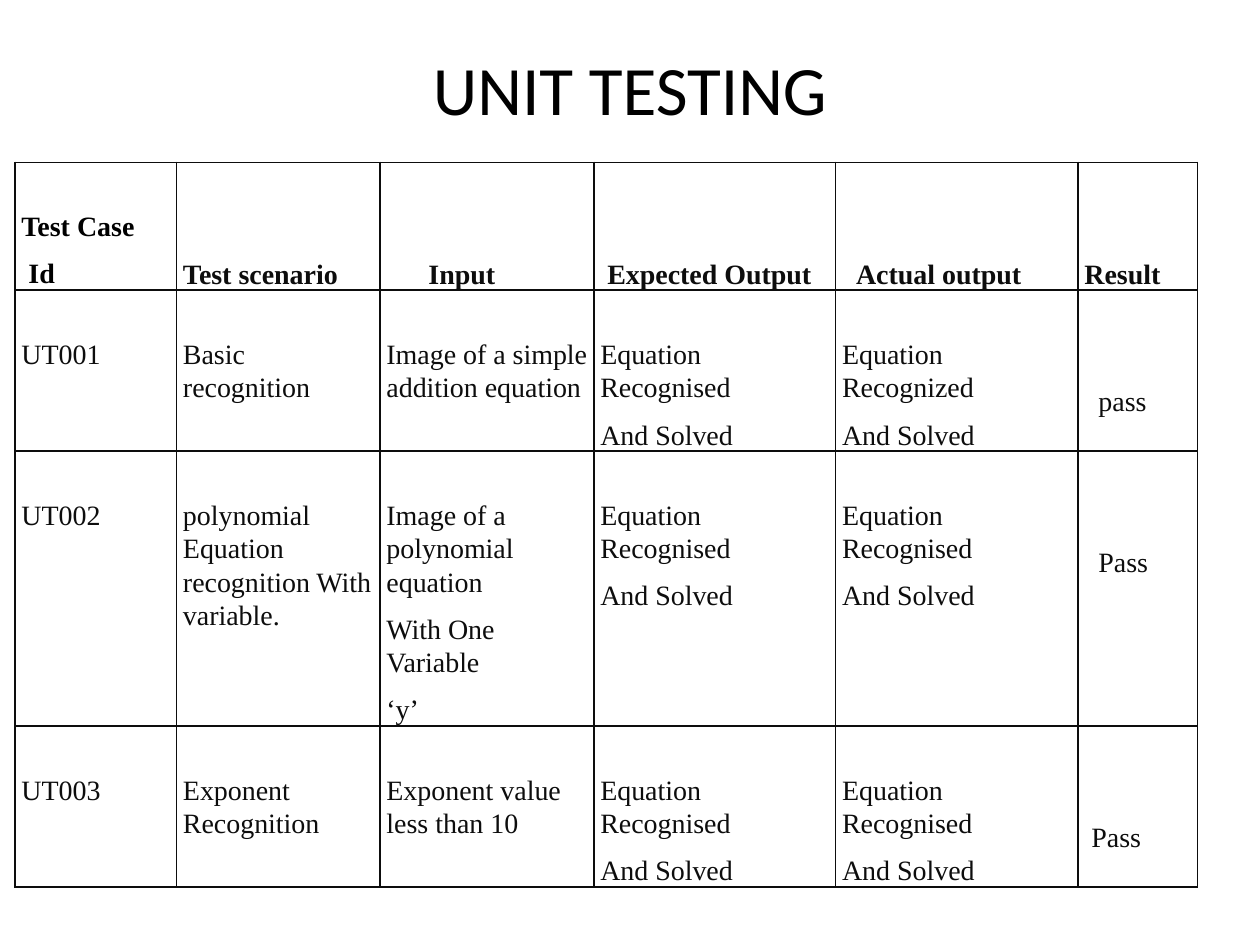
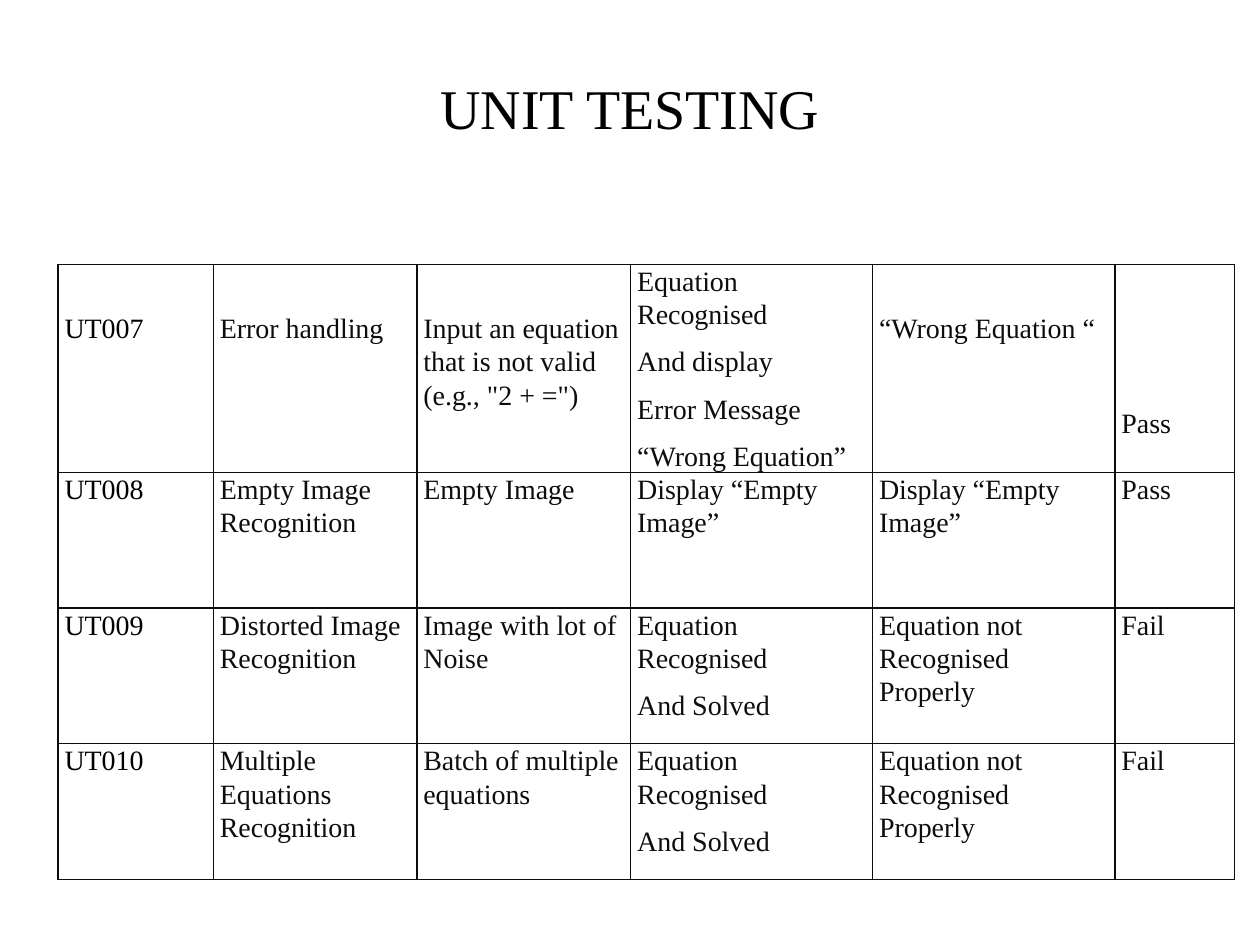
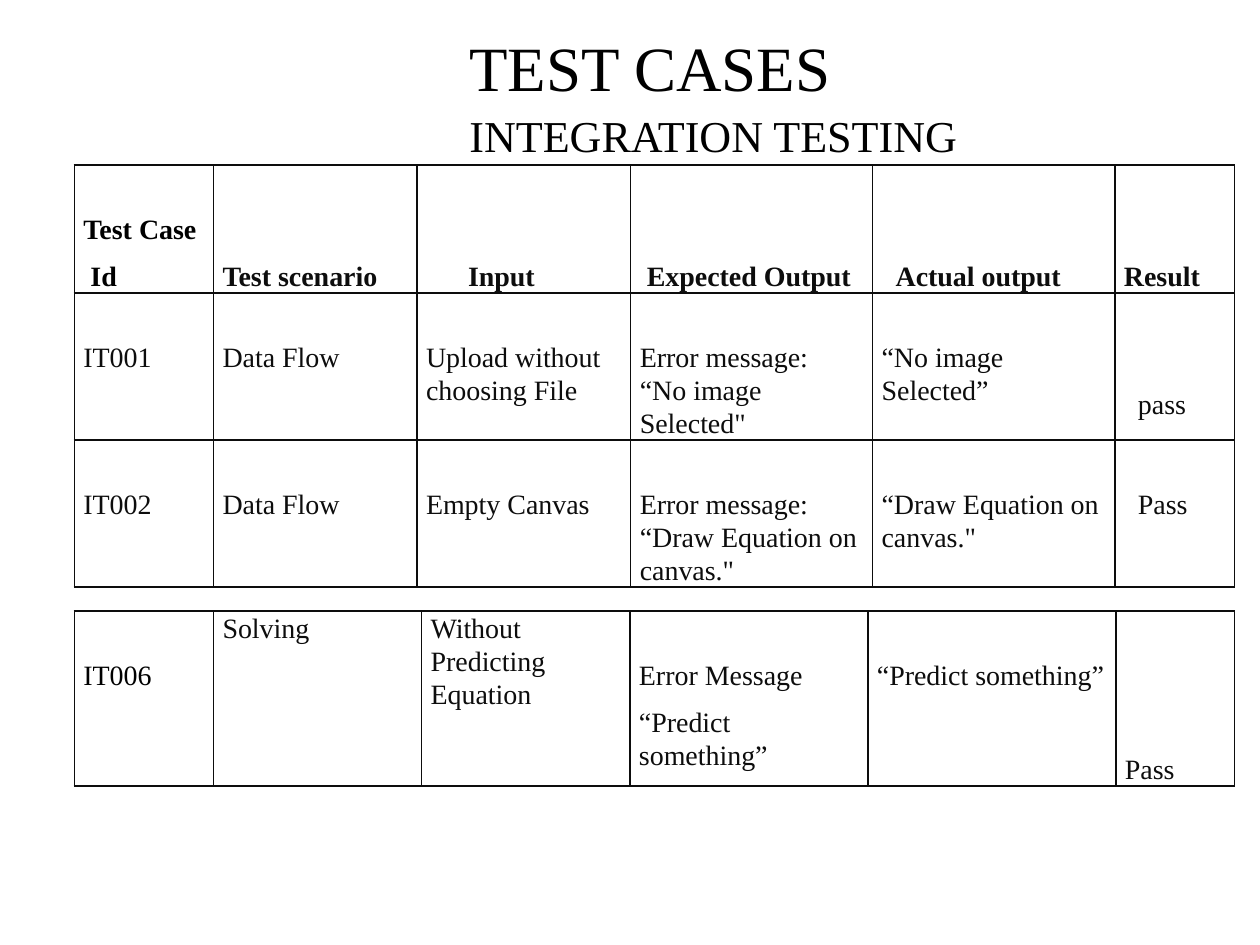
from collections import namedtuple

from pptx import Presentation
from pptx.dml.color import RGBColor
from pptx.enum.text import MSO_ANCHOR as Anchor, MSO_AUTO_SIZE as AutoSize, PP_ALIGN as Align
from pptx.oxml.ns import qn
from pptx.util import Pt
from lxml import etree

COLORS = {"title": "000000", "id": "000000", "body": "0D0D0D", "border": "0D0D0D"}
SERIF = "Times New Roman"
LINE_PITCH = 27  # one 16 pt line with the gap after it
SPACE_WIDTH = 4
TITLE_ONLY = 5

SHARED_COLUMNS = (116.3, 122.2, 138.2, 138.5, 68.4)
SOLVED = "Equation Recognised\nAnd Solved"
NOT_PROPERLY = "Equation not Recognised Properly"

Entry = namedtuple("Entry", "text skip indent bold color")


def entry(text, skip=1, indent=0, bold=False, color="body"):
    """Cell text that starts skip lines down; its last paragraph is indented by spaces."""
    return Entry(text, skip, indent, bold, color)


def top(text, **options):
    return entry(text, skip=0, **options)


HEADER = [
    entry("Test Case\nId", indent=1, bold=True, color="id"),
    entry("Test scenario", skip=2, bold=True),
    entry("Input", skip=2, indent=6, bold=True),
    entry("Expected Output", skip=2, indent=1, bold=True),
    entry("Actual output", skip=2, indent=2, bold=True),
    entry("Result", skip=2, bold=True),
]

UNIT_BASIC = [
    HEADER,
    [entry("UT001"), entry("Basic recognition"),
     entry("Image of a simple addition equation"), entry(SOLVED),
     entry("Equation Recognized\nAnd Solved"), entry("pass", skip=2, indent=2)],
    [entry("UT002"), entry("polynomial Equation recognition With variable."),
     entry("Image of a polynomial equation\nWith One Variable\n‘y’"),
     entry(SOLVED), entry(SOLVED), entry("Pass", skip=2, indent=2)],
    [entry("UT003"), entry("Exponent Recognition"),
     entry("Exponent value less than 10"),
     entry(SOLVED), entry(SOLVED), entry("Pass", skip=2, indent=1)],
]

UNIT_ERRORS = [
    [entry("UT007", color="id"), entry("Error handling"),
     entry('Input an equation that is not valid (e.g., "2 + =")'),
     top("Equation Recognised\nAnd display\nError Message\n“Wrong Equation”"),
     entry("“Wrong Equation “"), entry("Pass", skip=3)],
    [top("UT008", color="id"), top("Empty Image Recognition"), top("Empty Image"),
     top("Display “Empty Image”"), top("Display “Empty Image”"), top("Pass")],
    [top("UT009", color="id"), top("Distorted Image Recognition"),
     top("Image with lot of Noise"), top(SOLVED), top(NOT_PROPERLY), top("Fail")],
    [top("UT010", color="id"), top("Multiple Equations Recognition"),
     top("Batch of multiple equations"), top(SOLVED), top(NOT_PROPERLY), top("Fail")],
]

INTEGRATION_FLOW = [
    HEADER,
    [entry("IT001"), entry("Data Flow"), entry("Upload without choosing File"),
     entry('Error message:\v“No image Selected"'), entry("“No image Selected”"),
     entry("pass", skip=2, indent=2)],
    [entry("IT002"), entry("Data Flow"), entry("Empty Canvas"),
     entry('Error message:\v“Draw Equation on canvas."'),
     entry('“Draw Equation on canvas."'), entry("Pass", indent=2)],
]

INTEGRATION_SOLVING = [
    [entry("IT006", color="id"), top("Solving"), top("Without Predicting Equation"),
     entry("Error Message\n“Predict something”"), entry("“Predict something”"),
     entry("Pass", skip=3)],
]


def write(para, text, size=16, font=SERIF, color="body", bold=False, align=Align.LEFT,
          indent=0, line=None, before=0, after=0):
    para.text = text
    para.alignment = align
    para.line_spacing = line
    para.space_before, para.space_after = Pt(before), Pt(after)
    if indent:
        para._p.get_or_add_pPr().set("marL", str(Pt(indent)))
    for span in para.runs:
        span.font.size, span.font.name, span.font.bold = Pt(size), font, bold
        span.font.color.rgb = RGBColor.from_string(COLORS[color])


def add_page(deck, y, height):
    """Add a slide, place its title and return both slide and title frame."""
    page = deck.slides.add_slide(deck.slide_layouts[TITLE_ONLY])
    title = page.shapes.title
    title.left, title.top, title.width, title.height = Pt(36), Pt(y), Pt(648), Pt(height)
    frame = title.text_frame
    frame.auto_size = AutoSize.NONE
    frame.vertical_anchor = Anchor.MIDDLE
    return page, frame


def add_borders(cell):
    props = cell._tc.get_or_add_tcPr()
    for side in ("a:lnL", "a:lnR", "a:lnT", "a:lnB"):
        line = etree.SubElement(props, qn(side), w=str(Pt(1)))
        fill = etree.SubElement(line, qn("a:solidFill"))
        etree.SubElement(fill, qn("a:srgbClr"), val=COLORS["border"])


def fill_cell(cell, item, inset):
    add_borders(cell)
    cell.fill.background()
    cell.margin_left = cell.margin_right = Pt(inset)
    cell.margin_top, cell.margin_bottom = Pt(item.skip * LINE_PITCH), Pt(0)
    frame = cell.text_frame
    lines = item.text.split("\n")
    for number, text in enumerate(lines, 1):
        para = frame.paragraphs[0] if number == 1 else frame.add_paragraph()
        indent = item.indent * SPACE_WIDTH if number == len(lines) else 0
        write(para, text, color=item.color, bold=item.bold, indent=indent, line=1.07, after=8)


def add_test_table(page, rows, x, y, widths, heights, inset):
    table = page.shapes.add_table(len(rows), len(widths), Pt(x), Pt(y),
                                  Pt(sum(widths)), Pt(sum(heights))).table
    table.first_row = table.horz_banding = False
    for column, width in zip(table.columns, widths):
        column.width = Pt(width)
    for row, height, items in zip(table.rows, heights, rows):
        row.height = Pt(height)
        for cell, item in zip(row.cells, items):
            fill_cell(cell, item, inset)


def main():
    deck = Presentation()
    deck.slide_width, deck.slide_height = Pt(720), Pt(540)

    page, title = add_page(deck, y=21, height=58.5)
    write(title.paragraphs[0], "UNIT TESTING", size=39.6, font="Calibri",
          color="title", align=Align.CENTER)
    add_test_table(page, UNIT_BASIC, 8.6, 92.8, (92.3, *SHARED_COLUMNS),
                   (73, 92, 157, 92), inset=3.7)

    page, title = add_page(deck, y=34.5, height=53.5)
    write(title.paragraphs[0], "UNIT TESTING", size=32, color="title", align=Align.CENTER)
    add_test_table(page, UNIT_ERRORS, 33.2, 151, (88.8, *SHARED_COLUMNS),
                   (119, 77.5, 77.5, 77.5), inset=3.7)

    page, title = add_page(deck, y=21.6, height=57)
    title.margin_top = Pt(12)
    write(title.paragraphs[0], "TEST CASES", size=36, color="title", indent=225)
    write(title.add_paragraph(), "INTEGRATION TESTING", size=25.2, color="title", before=2.8)
    add_test_table(page, INTEGRATION_FLOW, 42.5, 94.3, (79.5, *SHARED_COLUMNS),
                   (73, 84, 84), inset=5.2)
    add_test_table(page, INTEGRATION_SOLVING, 42.5, 349.2,
                   (79.5, 118.9, 119.1, 136, 141.7, 68), (100,), inset=5.2)

    deck.save("out.pptx")


if __name__ == "__main__":
    main()
